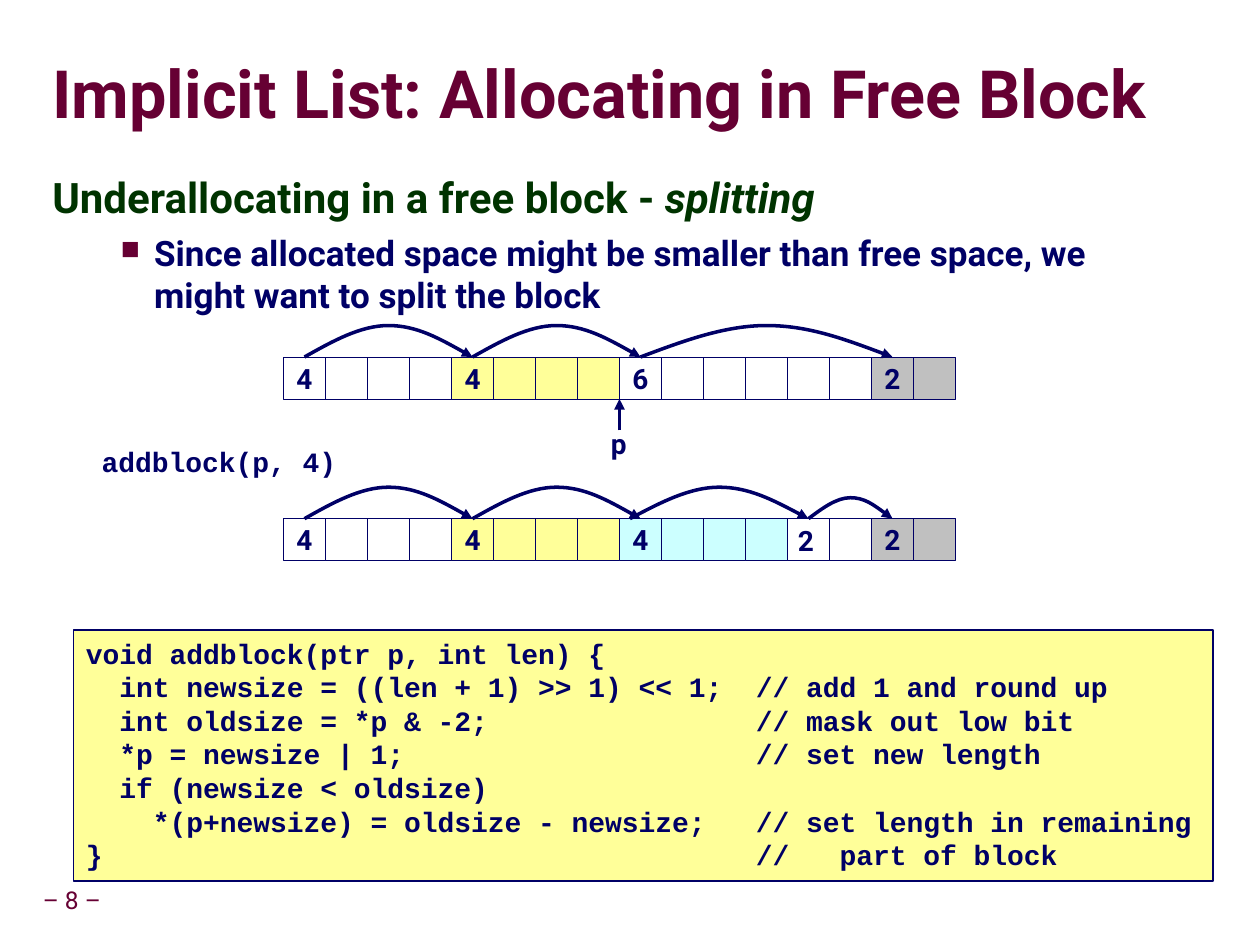
"""Build the slide on splitting a free block in an implicit list."""
from lxml.etree import SubElement
from pptx import Presentation
from pptx.dml.color import RGBColor
from pptx.enum.shapes import MSO_CONNECTOR, MSO_SHAPE
from pptx.enum.text import MSO_ANCHOR, MSO_AUTO_SIZE, PP_ALIGN
from pptx.oxml import parse_xml
from pptx.oxml.ns import nsdecls, qn
from pptx.util import Pt

PX = 7620
CELL = 40
ROW_LEFT = 270
SANS, MONO = "Roboto", "Courier New"
MAROON = RGBColor(0x66, 0x00, 0x33)
GREEN = RGBColor(0x00, 0x33, 0x00)
NAVY = RGBColor(0x00, 0x00, 0x66)
WHITE = RGBColor(0xFF, 0xFF, 0xFF)
YELLOW = RGBColor(0xFF, 0xFF, 0x99)
CYAN = RGBColor(0xCC, 0xFF, 0xFF)
GRAY = RGBColor(0xC0, 0xC0, 0xC0)

TITLE = "Implicit List: Allocating in Free Block"
HEADING = [("Underallocating in a free block - ", False), ("splitting", True)]
POINT = ("Since allocated space might be smaller than free space, "
         "we might want to split the block")
HEAPS = [
    {"top": 340,
     "blocks": [("4", 4, WHITE), ("4", 4, YELLOW), ("6", 6, WHITE), ("2", 2, GRAY)],
     "arcs": [(290, 450, 30), (450, 610, 30), (610, 850, 30)]},
    {"top": 494,
     "blocks": [("4", 4, WHITE), ("4", 4, YELLOW), ("4", 4, CYAN), ("", 2, WHITE),
                ("2", 2, GRAY)],
     "arcs": [(290, 450, 30), (450, 610, 30), (600, 770, 30), (770, 850, 20)]},
]
LABELS = [("p", (570, 400, 41, 44)), ("2", (748, 493, 38, 44))]
CENTERED_LABELS = [
    ("addblock(p, 4)", (89, 420, 239, 42), 16, MONO, NAVY, True),
    ("– 8 –", (29, 840, 79, 37), 14, SANS, MAROON, False),
]
CODE = [
    "void addblock(ptr p, int len) {",
    "  int newsize = ((len + 1) >> 1) << 1;  // add 1 and round up",
    "  int oldsize = *p & -2;                // mask out low bit",
    "  *p = newsize | 1;                     // set new length",
    "  if (newsize < oldsize)",
    "    *(p+newsize) = oldsize - newsize;   // set length in remaining",
    "}                                       //   part of block",
]
ARROWHEAD = f'<a:tailEnd {nsdecls("a")} type="triangle"/>'
TITLE_SHADOW = (f'<a:effectLst {nsdecls("a")}><a:outerShdw blurRad="38100" dist="38100" '
                'dir="2700000"><a:srgbClr val="C0C0C0"/></a:outerShdw></a:effectLst>')


def emu(*lengths):
    return [length * PX for length in lengths]


def add_run(paragraph, text, size=16, font=SANS, color=NAVY, bold=True, italic=False):
    run = paragraph.add_run()
    run.text = text
    run.font.size = Pt(size)
    run.font.name = font
    run.font.color.rgb = color
    run.font.bold = bold
    run.font.italic = italic
    return run


def add_box(slide, bounds, fill, width):
    box = slide.shapes.add_shape(MSO_SHAPE.RECTANGLE, *emu(*bounds))
    box.shadow.inherit = False
    box.fill.solid()
    box.fill.fore_color.rgb = fill
    box.line.color.rgb = NAVY
    box.line.width = Pt(width)
    box.text_frame.word_wrap = False
    return box


def add_label(slide, bounds):
    frame = slide.shapes.add_textbox(*emu(*bounds)).text_frame
    frame.word_wrap = False
    return frame


def style_arrow(arrow):
    arrow.line.color.rgb = NAVY
    arrow.line.width = Pt(2)
    arrow.line._get_or_add_ln().append(parse_xml(ARROWHEAD))


def add_arc(slide, start, end, base, height):
    span, top, middle = end - start, base - height, base - height / 2
    points = [(start + span / 6, middle), (start + span / 3, top), (start + span / 2, top),
              (end - span / 3, top), (end - span / 6, middle), (end, base)]
    builder = slide.shapes.build_freeform(start * PX, base * PX)
    builder.add_line_segments([(round(x * PX), round(y * PX)) for x, y in points], close=False)
    arc = builder.convert_to_shape()
    outline = next(arc._element.iter(qn("a:moveTo"))).getparent()
    segments = outline.findall(qn("a:lnTo"))
    for first in (0, 3):
        curve = SubElement(outline, qn("a:cubicBezTo"))
        for segment in segments[first:first + 3]:
            curve.append(segment[0])
            outline.remove(segment)
    arc.shadow.inherit = False
    arc.fill.background()
    style_arrow(arc)


def add_heap(slide, heap):
    left = ROW_LEFT
    for size_label, cells, fill in heap["blocks"]:
        for index in range(cells):
            cell = add_box(slide, (left, heap["top"], CELL, CELL), fill, 0.25)
            if index == 0 and size_label:
                cell.text_frame.vertical_anchor = MSO_ANCHOR.MIDDLE
                head = cell.text_frame.paragraphs[0]
                head.alignment = PP_ALIGN.CENTER
                add_run(head, size_label)
            left += CELL
    for start, end, height in heap["arcs"]:
        add_arc(slide, start, end, heap["top"], height)


def add_title(slide):
    title = slide.shapes.title
    title.left, title.top, title.width, title.height = emu(50, 55, 1130, 76)
    frame = title.text_frame
    frame.auto_size = MSO_AUTO_SIZE.NONE
    frame.vertical_anchor = MSO_ANCHOR.MIDDLE
    frame.margin_left = frame.margin_right = frame.margin_top = frame.margin_bottom = 0
    line = frame.paragraphs[0]
    line.alignment = PP_ALIGN.LEFT
    line.line_spacing = 0.87
    run = add_run(line, TITLE, 38, SANS, MAROON)
    run._r.rPr.find(qn("a:solidFill")).addnext(parse_xml(TITLE_SHADOW))


def add_body(slide):
    frame = add_label(slide, (38, 161, 1091, 685))
    frame.word_wrap = True
    heading = frame.paragraphs[0]
    heading.line_spacing = 0.95
    for text, italic in HEADING:
        add_run(heading, text, 24, color=GREEN, italic=italic)
    point = frame.add_paragraph()
    properties = point._p.get_or_add_pPr()
    properties.set("marL", str(97 * PX))
    properties.set("indent", str(-32 * PX))
    bullet_color = SubElement(properties, qn("a:buClr"))
    SubElement(bullet_color, qn("a:srgbClr"), val=str(MAROON))
    SubElement(properties, qn("a:buSzPct"), val="75000")
    SubElement(properties, qn("a:buChar"), char="■")
    point.space_before = Pt(5)
    add_run(point, POINT, 20)


def add_code(slide):
    frame = add_box(slide, (70, 600, 1085, 239), YELLOW, 1).text_frame
    frame.vertical_anchor = MSO_ANCHOR.TOP
    for number, code_line in enumerate(CODE):
        line = frame.add_paragraph() if number else frame.paragraphs[0]
        line.alignment = PP_ALIGN.LEFT
        add_run(line, code_line, font=MONO)


def main():
    deck = Presentation()
    deck.slide_width, deck.slide_height = emu(1200, 900)
    slide = deck.slides.add_slide(deck.slide_layouts[5])
    add_title(slide)
    add_body(slide)
    add_code(slide)
    for heap in HEAPS:
        add_heap(slide, heap)
    pointer = slide.shapes.add_connector(MSO_CONNECTOR.STRAIGHT, *emu(590, 410, 590, 380))
    style_arrow(pointer)
    SubElement(pointer._element.spPr, qn("a:effectLst"))
    for text, bounds in LABELS:
        add_run(add_label(slide, bounds).paragraphs[0], text)
    for text, bounds, *style in CENTERED_LABELS:
        frame = add_label(slide, bounds)
        frame.vertical_anchor = MSO_ANCHOR.MIDDLE
        frame.margin_left = frame.margin_right = 6 * PX
        line = frame.paragraphs[0]
        line.alignment = PP_ALIGN.CENTER
        line.line_spacing = 0.9
        add_run(line, text, *style)
    deck.save("out.pptx")


if __name__ == "__main__":
    main()
